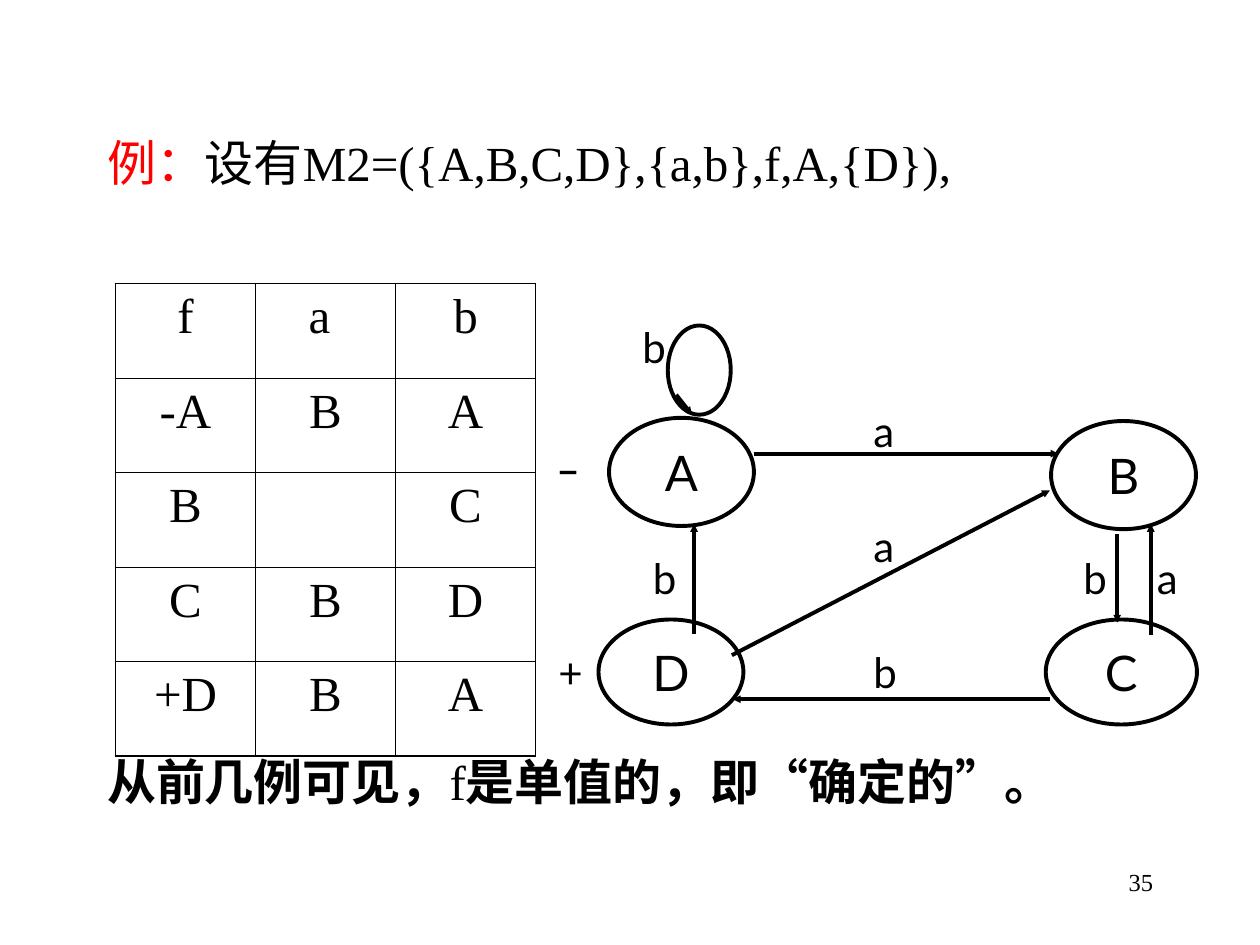
from lxml.etree import SubElement
from pptx import Presentation
from pptx.dml.color import RGBColor
from pptx.enum.shapes import MSO_CONNECTOR, MSO_SHAPE
from pptx.enum.text import MSO_ANCHOR, MSO_AUTO_SIZE, PP_ALIGN
from pptx.oxml.ns import qn
from pptx.util import Inches, Pt

BLACK = RGBColor(0, 0, 0)
RED = RGBColor(255, 0, 0)
SERIF, SANS, HAN = "Times New Roman", "Lato", "Noto Sans CJK SC"

# The slide is a grid of 120 columns and 90 rows
WIDE, HIGH = Inches(10), Inches(7.5)
COLS, ROWS = 120, 90

MOVES = [["f", "a ", "b"], ["-A", "B", "A"], ["B", "", "C"],
         ["C", "B", "D"], ["+D", "B", "A"]]

# Name, column, row, columns wide, rows high
STATES = [("A", 58, 39.8, 13.8, 10.3), ("B", 100.1, 40.1, 13.8, 10.3),
          ("D", 57, 59, 13.8, 10), ("C", 99.6, 59, 14.4, 10),
          ("", 63.6, 31, 6, 8.5)]

# Start column and row, end column and row
ARROWS = [(71.8, 43.2, 100.8, 43.2), (69.7, 62.4, 100, 46.7),
          (106.4, 50.9, 106.4, 59.3), (109.6, 60.5, 109.6, 49.9),
          (66.1, 60.4, 66.1, 49.9), (100, 66.6, 69.8, 66.6),
          (64.4, 37.6, 65.9, 39.5)]

# Text, column, row, columns wide
LABELS = [("a", 82, 38, 4.6), ("a", 109, 52, 4.6), ("a", 82, 49, 4.6),
          ("b", 60, 30, 4.6), ("b", 102, 52, 4.6), ("b", 82, 61, 4.6),
          ("b", 61, 52, 4.6), ("_", 52, 40, 7), ("+", 52, 61, 7)]


def col(n):
    return round(WIDE * n / COLS)


def row(n):
    return round(HIGH * n / ROWS)


def area(x, y, w, h):
    return col(x), row(y), col(w), row(h)


def add_run(para, text, size, name, color=BLACK, bold=False):
    run = para.add_run()
    run.text = text
    look = {"size": Pt(size), "name": name, "bold": bold}
    for key, value in look.items():
        setattr(run.font, key, value)
    run.font.color.rgb = color
    SubElement(run.font._element, qn("a:ea"), typeface=HAN)


def add_body(slide):
    body = slide.placeholders[1]
    place = zip(("left", "top", "width", "height"), area(9, 12, 106, 68))
    for key, value in place:
        setattr(body, key, value)
    frame = body.text_frame
    frame.auto_size = MSO_AUTO_SIZE.NONE
    first, last = frame.paragraphs[0], frame.add_paragraph()
    # The last line sits below the table and the graph
    for para, gap in ((first, 0), (last, 320)):
        props = para._p.get_or_add_pPr()
        props.set("marL", str(Inches(0.38)))
        props.set("indent", str(-Inches(0.38)))
        SubElement(props, qn("a:buNone"))
        para.alignment = PP_ALIGN.JUSTIFY
        para.space_before = Pt(gap)
    add_run(first, "例：", 28, SERIF, RED)
    add_run(first, "设有M2=({A,B,C,D},{a,b},f,A,{D}),", 28, SERIF)
    add_run(last, "从前几例可见，", 28, HAN, bold=True)
    add_run(last, "f", 28, SERIF)
    add_run(last, "是单值的，即“确定的”。", 28, HAN, bold=True)


def add_edge(cell, side, width):
    line = SubElement(cell._tc.get_or_add_tcPr(), qn("a:ln" + side),
                      w=str(Pt(width)))
    fill = SubElement(line, qn("a:solidFill"))
    SubElement(fill, qn("a:srgbClr"), val=str(BLACK))


def add_grid(shapes):
    high, wide = len(MOVES), len(MOVES[0])
    table = shapes.add_table(high, wide, *area(11, 27, 40, 45)).table
    table.first_row = table.horz_banding = False
    for r, words in enumerate(MOVES):
        for c, word in enumerate(words):
            cell = table.cell(r, c)
            outer = {"L": c == 0, "R": c == wide - 1,
                     "T": r == 0, "B": r == high - 1}
            for side, edge in outer.items():
                add_edge(cell, side, 1.08 if edge else 0.45)
            cell.fill.background()
            para = cell.text_frame.paragraphs[0]
            para.alignment = PP_ALIGN.CENTER
            if word:
                add_run(para, word, 28, SERIF)


def set_line(line):
    line.color.rgb = BLACK
    line.width = Pt(2.25)


def add_state(shapes, name, *place):
    oval = shapes.add_shape(MSO_SHAPE.OVAL, *area(*place))
    oval.shadow.inherit = False
    oval.fill.background()
    set_line(oval.line)
    if name:
        frame = oval.text_frame
        frame.vertical_anchor = MSO_ANCHOR.MIDDLE
        frame.paragraphs[0].alignment = PP_ALIGN.CENTER
        add_run(frame.paragraphs[0], name, 28, SANS)


def add_arrow(shapes, x1, y1, x2, y2):
    arrow = shapes.add_connector(MSO_CONNECTOR.STRAIGHT, col(x1), row(y1),
                                 col(x2), row(y2))
    set_line(arrow.line)
    SubElement(arrow.line._get_or_add_ln(), qn("a:tailEnd"),
               type="triangle", w="sm", len="sm")
    SubElement(arrow._element.spPr, qn("a:effectLst"))


def add_label(shapes, text, x, y, w, size=24, name=SANS, align=PP_ALIGN.LEFT):
    frame = shapes.add_textbox(*area(x, y, w, 6)).text_frame
    frame.word_wrap = True
    para = frame.paragraphs[0]
    para.alignment = align
    add_run(para, text, size, name, bold=text == "_")


def main():
    deck = Presentation()
    deck.slide_width, deck.slide_height = WIDE, HIGH
    slide = deck.slides.add_slide(deck.slide_layouts[1])
    title = slide.shapes.title._element
    title.getparent().remove(title)

    # Page number, text and transition table
    add_label(slide.shapes, "35", 86, 82, 25, 14, SERIF, PP_ALIGN.RIGHT)
    add_body(slide)
    add_grid(slide.shapes)

    # State graph
    graph = slide.shapes.add_group_shape().shapes
    for draw, items in ((add_state, STATES), (add_arrow, ARROWS),
                        (add_label, LABELS)):
        for item in items:
            draw(graph, *item)

    deck.save("out.pptx")


if __name__ == "__main__":
    main()
